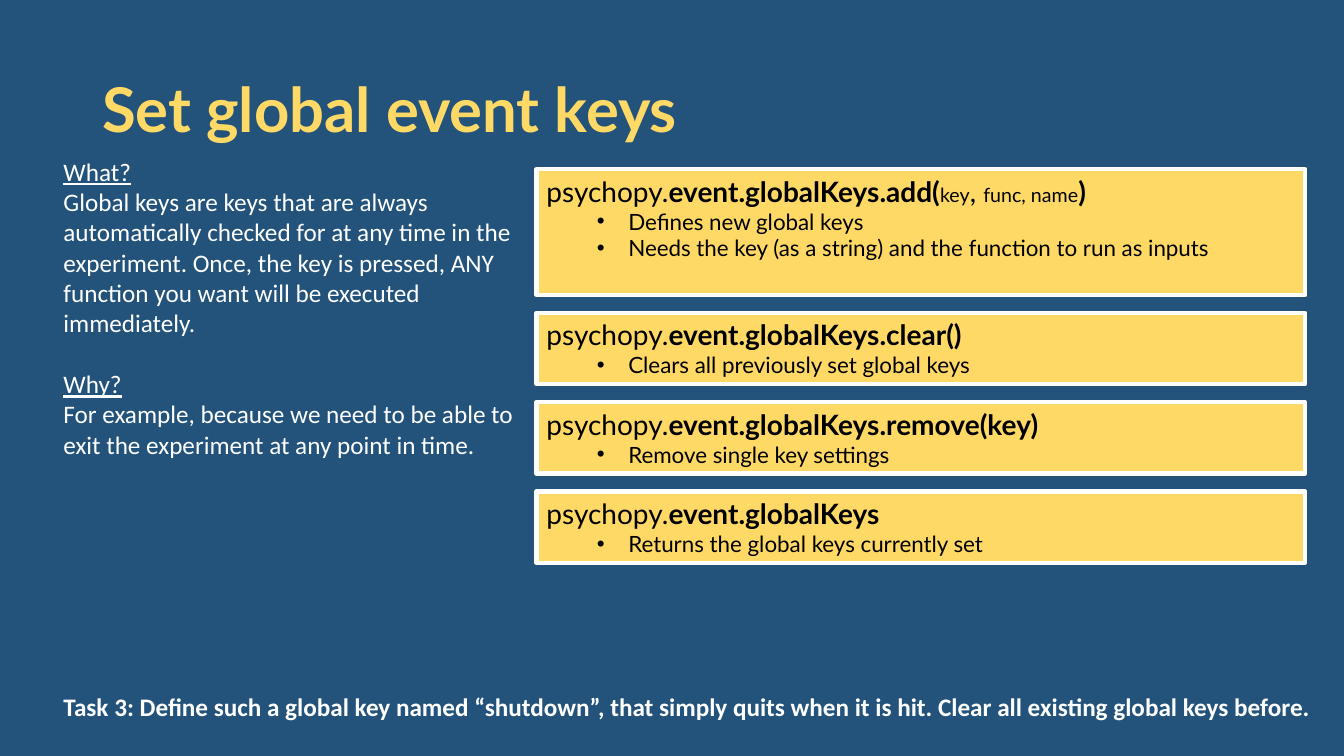
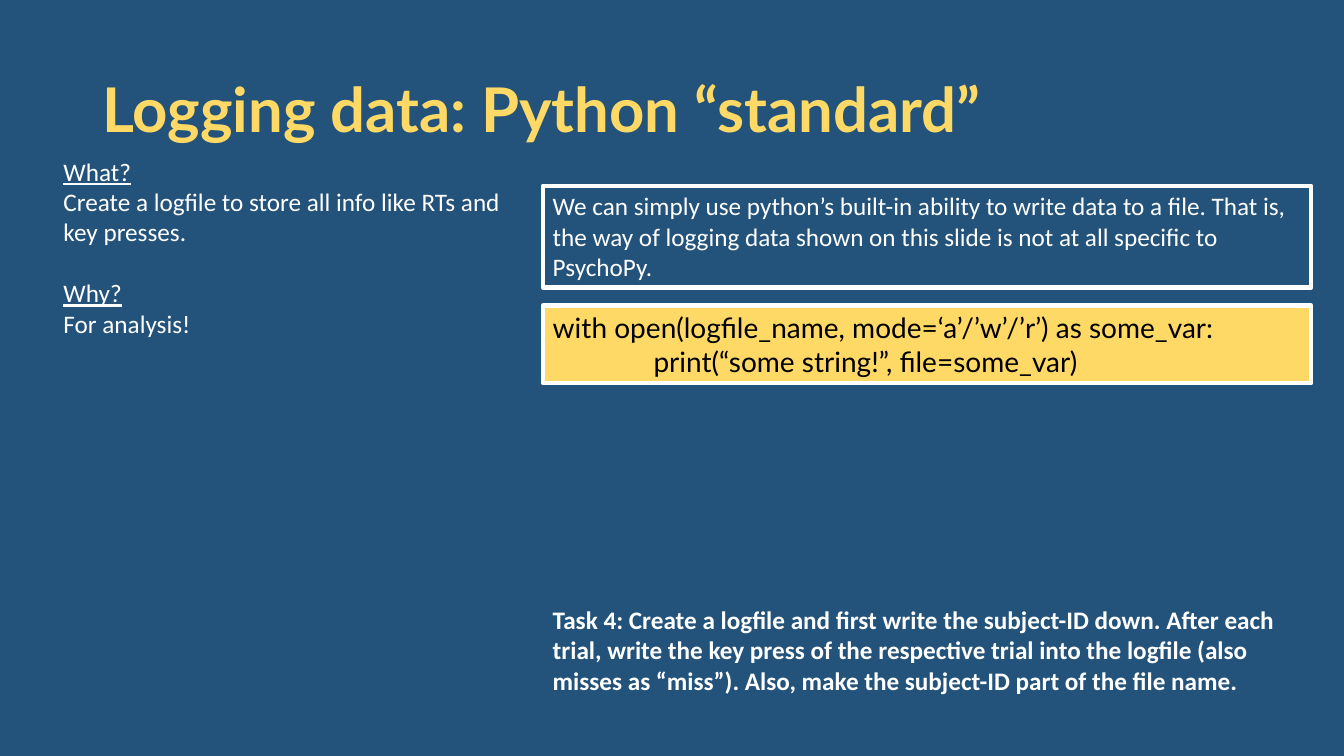
from dataclasses import dataclass

from lxml import etree
from pptx import Presentation
from pptx.dml.color import RGBColor
from pptx.enum.shapes import MSO_SHAPE
from pptx.enum.text import MSO_ANCHOR, PP_ALIGN
from pptx.oxml.ns import qn
from pptx.util import Pt

RECT = MSO_SHAPE.RECTANGLE
TOP, MIDDLE = MSO_ANCHOR.TOP, MSO_ANCHOR.MIDDLE
LEFT = PP_ALIGN.LEFT
PX = 9525  # EMU per px


@dataclass(frozen=True)
class Theme:
    navy: str = "23537A"
    yellow: str = "FFD966"
    white: str = "FFFFFF"
    black: str = "000000"
    display: str = "Lato"
    body: str = "Calibri"
    title_size: int = 44
    code_size: int = 20
    body_size: int = 18
    bullet_size: int = 16
    argument_size: int = 14
    border: int = 3


T = Theme()

# Content: runs are (text, style); bullets are plain strings
SMALL = {"size": T.argument_size}
BOLD = {"bold": True}
FUNCTIONS = [
    (120, [("event.globalKeys.add(", BOLD), ("key", SMALL), (", ", {}),
           ("func, name", SMALL), (")", BOLD)],
     ["Defines new global keys",
      "Needs the key (as a string) and the function to run as inputs"]),
    (68, [("event.globalKeys.clear()", BOLD)],
     ["Clears all previously set global keys"]),
    (68, [("event.globalKeys.remove(key)", BOLD)],
     ["Remove single key settings"]),
    (68, [("event.globalKeys", BOLD)],
     ["Returns the global keys currently set"]),
]
KEYS = {
    "title": "Set global event keys",
    "what": "Global keys are keys that are always automatically checked for at any "
            "time in the experiment. Once, the key is pressed, ANY function you want "
            "will be executed immediately.",
    "why": "For example, because we need to be able to exit the experiment at any "
           "point in time.",
    "task": "Task 3: Define such a global key named “shutdown”, that simply quits when "
            "it is hit. Clear all existing global keys before.",
}
LOGGING = {
    "title": "Logging data: Python “standard”",
    "what": "Create a logfile to store all info like RTs and key presses.",
    "why": "For analysis!",
    "remark": "We can simply use python’s built-in ability to write data to a file. "
              "That is, the way of logging data shown on this slide is not at all "
              "specific to PsychoPy.",
    "code": ["with open(logfile_name, mode=‘a’/’w’/’r’) as some_var:",
             "print(“some string!”, file=some_var)"],
    "task": "Task 4: Create a logfile and first write the subject-ID down. After each "
            "trial, write the key press of the respective trial into the logfile (also "
            "misses as “miss”). Also, make the subject-ID part of the file name.",
}

# Layout in px
SLIDE_W, SLIDE_H = 1280, 720
SIDE_X, SIDE_Y, SIDE_H = 51, 144, 390
BOX_W, BOX_GAP = 732, 17
BULLET_LEFT, BULLET_HANG, CODE_INDENT = 78, 30, 96


def add_text(sp, paragraphs, *, size=T.body_size, font=T.body, color=T.white,
             bold=False, anchor=TOP, wrap=True, line_spacing=None):
    """Fill a shape; each paragraph is a dict with runs and optional format."""
    tf = sp.text_frame
    tf.word_wrap = wrap
    tf.vertical_anchor = anchor
    for i, para in enumerate(paragraphs):
        p = tf.paragraphs[0] if i == 0 else tf.add_paragraph()
        p.alignment = LEFT
        p.line_spacing = line_spacing
        if "before" in para:
            p.space_before = Pt(para["before"])
        pPr = p._p.get_or_add_pPr()
        if "left" in para:
            pPr.set("marL", str(para["left"] * PX))
        if para.get("bullet"):
            pPr.set("indent", str(-BULLET_HANG * PX))
            etree.SubElement(pPr, qn("a:buFont")).set("typeface", "Arial")
            etree.SubElement(pPr, qn("a:buChar")).set("char", "•")
        for text, style in para["runs"]:
            r = p.add_run()
            r.text = text
            r.font.name = font
            r.font.size = Pt(style.get("size", size))
            r.font.bold = style.get("bold", bold)
            r.font.underline = style.get("underline", False)
            r.font.color.rgb = RGBColor.from_string(color)


def plain(text, **layout):
    return {"runs": [(text, {})], **layout}


def add_label(s, x, y, w, h, paragraphs, **style):
    sp = s.shapes.add_textbox(x * PX, y * PX, w * PX, h * PX)
    add_text(sp, paragraphs, **style)


def add_box(s, x, y, h, paragraphs, fill=None, **style):
    sp = s.shapes.add_shape(RECT, x * PX, y * PX, BOX_W * PX, h * PX)
    sp.shadow.inherit = False
    if fill:
        sp.fill.solid()
        sp.fill.fore_color.rgb = RGBColor.from_string(fill)
    else:
        sp.fill.background()
    sp.line.color.rgb = RGBColor.from_string(T.white)
    sp.line.width = Pt(T.border)
    add_text(sp, paragraphs, **style)


def add_code_box(s, x, y, h, paragraphs):
    add_box(s, x, y, h, paragraphs, fill=T.yellow, size=T.code_size,
            font=T.display, color=T.black)


def add_slide(prs, content, side_w):
    """Start a slide with its title and the What/Why column."""
    s = prs.slides.add_slide(prs.slide_layouts[6])
    add_label(s, 88, 38, 1104, 139, [plain(content["title"])], size=T.title_size,
              font=T.display, color=T.yellow, bold=True, anchor=MIDDLE,
              line_spacing=0.9)
    heading = {"underline": True}
    add_label(s, SIDE_X, SIDE_Y, side_w, SIDE_H, [
        {"runs": [("What?", heading)]},
        plain(content["what"]),
        {"runs": [("Why?", heading)], "before": 22},
        plain(content["why"]),
    ])
    return s


def build_keys(prs):
    s = add_slide(prs, KEYS, 480)
    y = 161
    for h, signature, bullets in FUNCTIONS:
        paragraphs = [{"runs": [("psychopy.", {}), *signature]}]
        paragraphs += [{"runs": [(b, {"size": T.bullet_size})], "bullet": True,
                        "left": BULLET_LEFT} for b in bullets]
        add_code_box(s, 511, y, h, paragraphs)
        y += h + BOX_GAP
    add_label(s, SIDE_X, 654, 1211, 38, [plain(KEYS["task"])], bold=True, wrap=False)


def build_logging(prs):
    s = add_slide(prs, LOGGING, 442)
    x, y, remark_h = 517, 177, 97
    add_box(s, x, y, remark_h, [plain(LOGGING["remark"])])
    opening, body = LOGGING["code"]
    add_code_box(s, x, y + remark_h + BOX_GAP, 74,
                 [plain(opening), plain(body, left=CODE_INDENT)])
    add_label(s, x, 571, BOX_W, 97, [plain(LOGGING["task"])], bold=True)


def main():
    prs = Presentation()
    prs.slide_width, prs.slide_height = SLIDE_W * PX, SLIDE_H * PX
    # Shared background
    fill = prs.slide_master.background.fill
    fill.solid()
    fill.fore_color.rgb = RGBColor.from_string(T.navy)
    build_keys(prs)
    build_logging(prs)
    prs.save("out.pptx")


if __name__ == "__main__":
    main()
